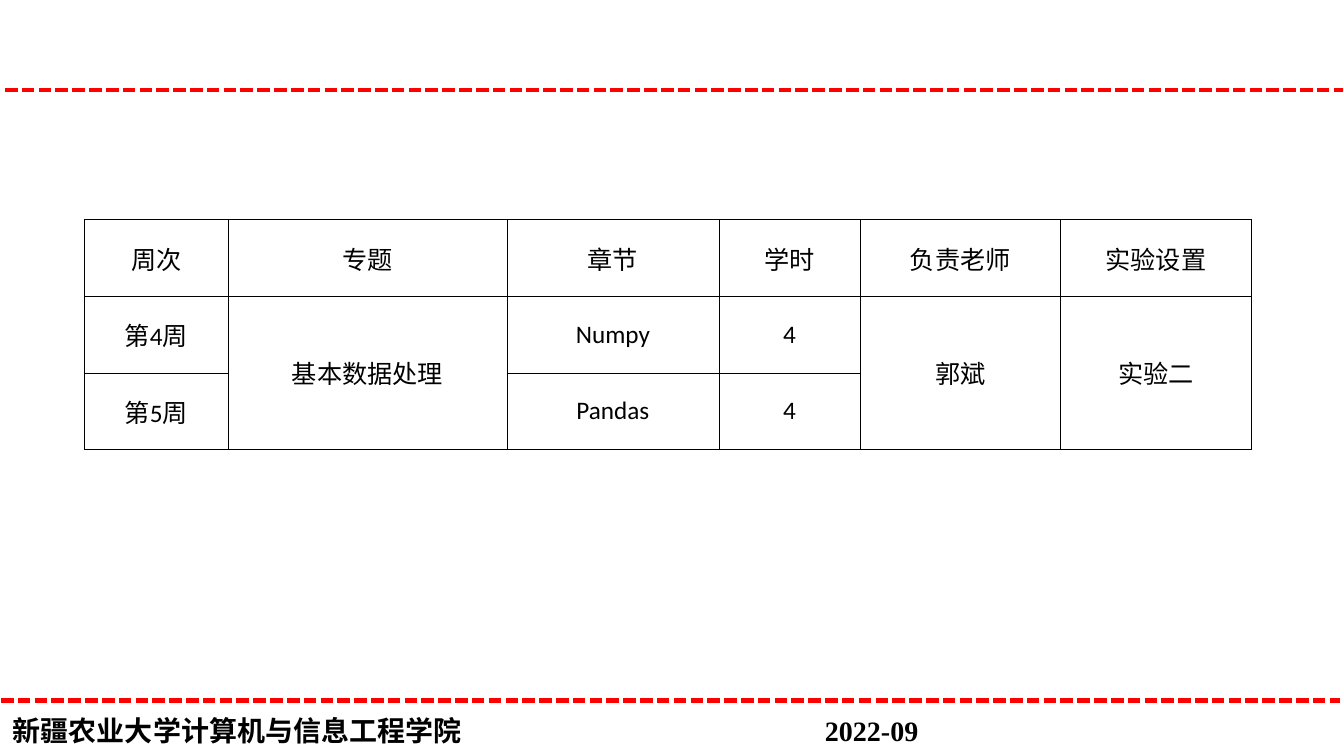
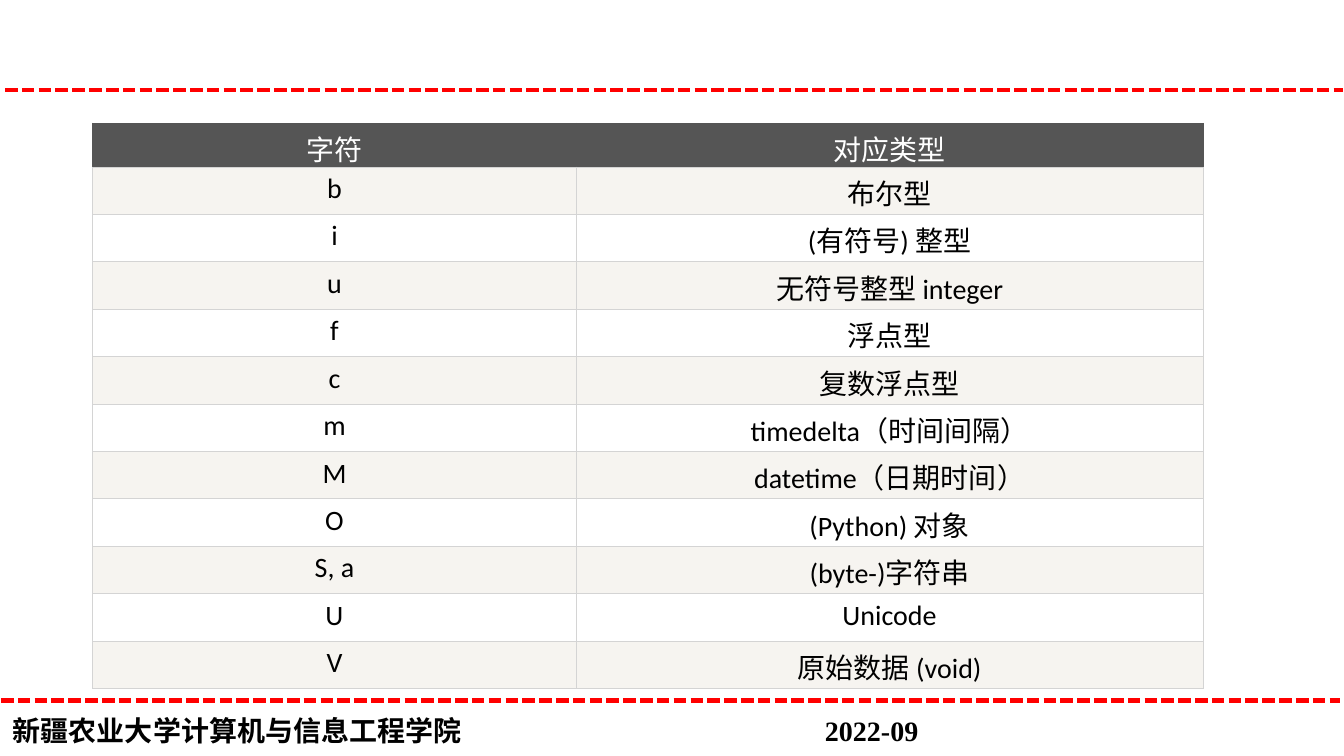
from dataclasses import dataclass

from lxml import etree
from pptx import Presentation
from pptx import util as u
from pptx.dml import color
from pptx.enum import dml, shapes, text
from pptx.oxml import ns


@dataclass(frozen=True)
class Theme:
    width: float = 13.34
    height: float = 7.5
    rule: str = "FF0000"
    ink: str = "000000"
    paper: str = "FFFFFF"
    band: str = "F6F4F0"
    header: str = "555555"
    grid: str = "D4D4D4"
    body_font: str = "Calibri"
    footer_font: str = "Times New Roman"
    schedule_size: int = 18
    large_size: int = 20
    rule_weight: int = 3


THEME = Theme()

SCHEDULE = [
    ["周次", "专题", "章节", "学时", "负责老师", "实验设置"],
    ["第4周", "基本数据处理", "Numpy", "4", "郭斌", "实验二"],
    ["第5周", "", "Pandas", "4", "", ""],
]
SHARED_COLUMNS = (1, 4, 5)

TYPE_CODES = [
    ("字符", "对应类型"),
    ("b", "布尔型"),
    ("i", "(有符号) 整型"),
    ("u", "无符号整型 integer"),
    ("f", "浮点型"),
    ("c", "复数浮点型"),
    ("m", "timedelta（时间间隔）"),
    ("M", "datetime（日期时间）"),
    ("O", "(Python) 对象"),
    ("S, a", "(byte-)字符串"),
    ("U", "Unicode"),
    ("V", "原始数据 (void)"),
]


def rgb(value):
    return color.RGBColor.from_string(value)


def add_run(paragraph, words, size, font, ink, bold=False):
    run = paragraph.add_run()
    run.text = words
    run.font.size = u.Pt(size)
    run.font.name = font
    run.font.bold = bold
    run.font.color.rgb = rgb(ink)


def add_rule(slide, left, right, top):
    rule = slide.shapes.add_connector(
        shapes.MSO_CONNECTOR.STRAIGHT,
        u.Inches(left), u.Inches(top), u.Inches(right), u.Inches(top))
    rule.line.color.rgb = rgb(THEME.rule)
    rule.line.width = u.Pt(THEME.rule_weight)
    rule.line.dash_style = dml.MSO_LINE.SQUARE_DOT
    etree.SubElement(rule.element.spPr, ns.qn("a:effectLst"))
    return rule


def add_footer(slide, box, school, date, date_offset):
    footer = slide.shapes.add_textbox(*map(u.Inches, box))
    frame = footer.text_frame
    frame.word_wrap = True
    frame.auto_size = text.MSO_AUTO_SIZE.SHAPE_TO_FIT_TEXT
    paragraph = frame.paragraphs[0]
    tabs = etree.SubElement(
        paragraph._p.get_or_add_pPr(), ns.qn("a:tabLst"))
    etree.SubElement(tabs, ns.qn("a:tab"),
                     pos=str(u.Inches(date_offset)), algn="l")
    for words in (school, "\t" + date):
        add_run(paragraph, words, THEME.large_size, THEME.footer_font,
                THEME.ink, bold=True)
    return footer


def build_layout(layout, slide):
    for placeholder in list(layout.placeholders):
        layout.shapes.element.remove(placeholder.element)
    shared_parts = (
        add_rule(slide, 0.01, 13.3, 6.95),
        add_footer(slide, (0.03, 7.03, 13.26, 0.44),
                   "新疆农业大学计算机与信息工程学院", "2022-09", 8.06),
        add_rule(slide, 0.05, 13.33, 0.89),
    )
    for part in shared_parts:
        layout.shapes.element.append(part.element)


def set_borders(cell, weight, edge, bottom):
    properties = cell._tc.get_or_add_tcPr()
    for position, side in enumerate("LRTB"):
        border = etree.Element(ns.qn(f"a:ln{side}"), w=str(u.Pt(weight)))
        fill = etree.SubElement(border, ns.qn("a:solidFill"))
        etree.SubElement(fill, ns.qn("a:srgbClr"),
                         val=bottom if side == "B" else edge)
        properties.insert(position, border)


def add_grid(slide, box, columns, rows, content):
    left, top, width, height = box
    table = slide.shapes.add_table(
        len(rows), len(columns), *map(u.Inches, box)).table
    table.first_row = table.horz_banding = False
    for column, share in zip(table.columns, columns):
        column.width = u.Inches(width * share / sum(columns))
    for row, share in zip(table.rows, rows):
        row.height = u.Inches(height * share / sum(rows))
    for row, entries in zip(table.rows, content):
        for cell, words in zip(row.cells, entries):
            yield table, cell, words


def fill_cell(cell, words, size, ink, side_margin):
    cell.margin_left = cell.margin_right = u.Inches(side_margin)
    cell.margin_top = cell.margin_bottom = u.Inches(0.05)
    paragraph = cell.text_frame.paragraphs[0]
    paragraph.alignment = text.PP_ALIGN.CENTER
    if words:
        add_run(paragraph, words, size, THEME.body_font, ink)


def build_schedule(slide, box):
    columns = (1.42, 2.77, 2.1, 1.4, 1.99, 1.89)
    for table, cell, words in add_grid(slide, box, columns, (1, 1, 1), SCHEDULE):
        fill_cell(cell, words, THEME.schedule_size, THEME.ink, 0.01)
        cell.vertical_anchor = text.MSO_ANCHOR.MIDDLE
        cell.fill.background()
        set_borders(cell, 0.45, THEME.ink, THEME.ink)
    for column in SHARED_COLUMNS:
        table.cell(1, column).merge(table.cell(2, column))


def build_type_codes(slide, box):
    columns = (4.8, 6.22)
    rows = [0.39] + [0.47] * (len(TYPE_CODES) - 1)
    cells = add_grid(slide, box, columns, rows, TYPE_CODES)
    for index, (_, cell, words) in enumerate(cells):
        row = index // len(columns)
        if row == 0:
            fill, ink, edge, margin = THEME.header, THEME.paper, THEME.header, 0.03
        else:
            fill = THEME.band if row % 2 else THEME.paper
            ink, edge, margin = THEME.ink, THEME.grid, 0.05
        fill_cell(cell, words, THEME.large_size, ink, margin)
        cell.fill.solid()
        cell.fill.fore_color.rgb = rgb(fill)
        set_borders(cell, 0.34, edge, THEME.grid)


def main():
    deck = Presentation()
    deck.slide_width = u.Inches(THEME.width)
    deck.slide_height = u.Inches(THEME.height)
    layout = deck.slide_layouts[6]
    schedule = deck.slides.add_slide(layout)
    build_layout(layout, schedule)
    build_schedule(schedule, (0.84, 2.18, 11.58, 2.28))
    build_type_codes(deck.slides.add_slide(layout), (0.92, 1.22, 11.02, 5.57))
    deck.save("out.pptx")


if __name__ == "__main__":
    main()
